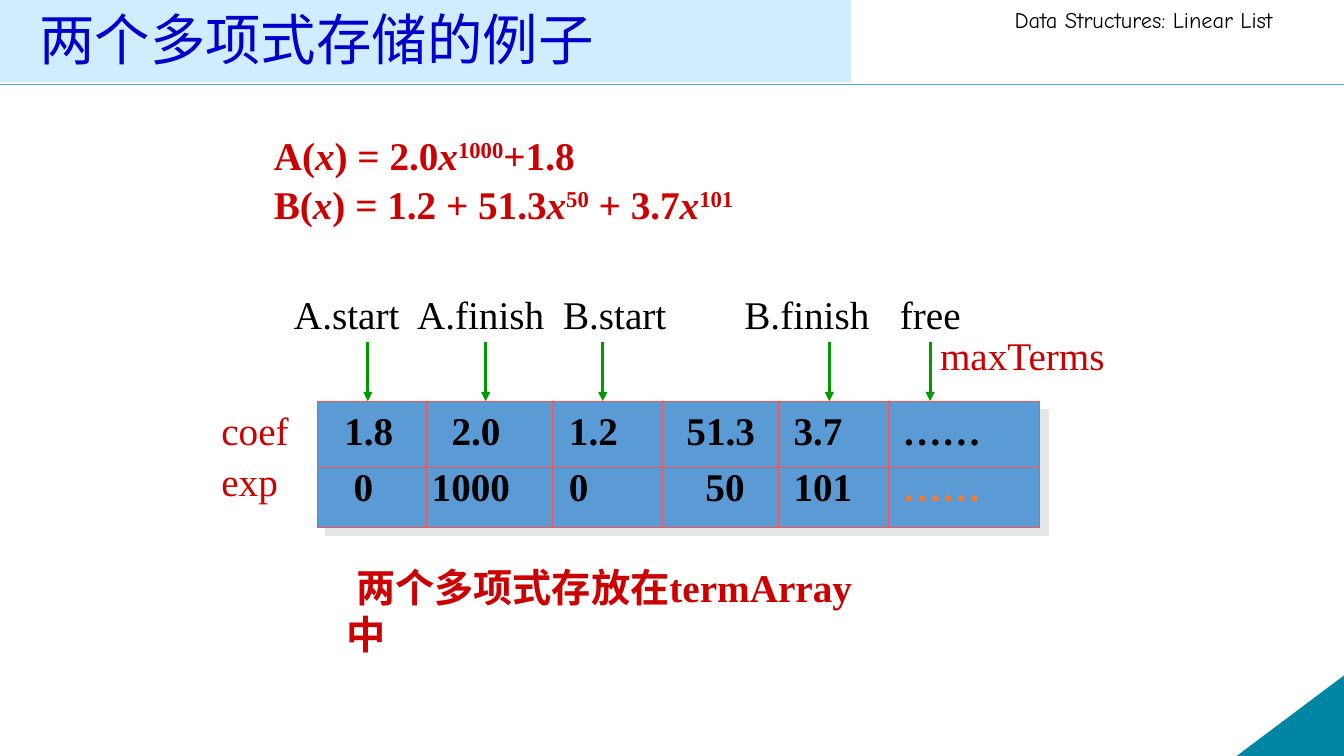
import pptx
import pptx.util
import pptx.dml.color
import pptx.enum.shapes
import pptx.enum.text
import pptx.oxml
import pptx.oxml.ns

Cm, Pt = pptx.util.Cm, pptx.util.Pt
SHAPE = pptx.enum.shapes.MSO_SHAPE
ANCHOR = pptx.enum.text.MSO_ANCHOR

COLORS = {
    "rule": "5AAAED", "corner": "0085A4", "bar": "CFEDFE", "title": "0000CC",
    "red": "CC0000", "black": "000000", "cells": "5B9BD5", "grid": "FF5050",
    "shadow": "E7E6E6", "arrow": "009900", "orange": "ED7D31",
}
TIMES = {"name": "Times New Roman", "size": Pt(28)}
BOLD = {**TIMES, "bold": True}
ITALIC = {**BOLD, "italic": True}

A = [("A(", ""), ("x", "i"), (") = 2.0", ""), ("x", "i"), ("1000", "sup"), ("+1.8", "")]
B = [("B(", ""), ("x", "i"), (") = 1.2 + 51.3", ""), ("x", "i"), ("50", "sup"),
     (" + 3.7", ""), ("x", "i"), ("101", "sup")]
POINTERS = ["A.start", "A.finish", "B.start", "B.finish", "free"]
POINTER_TABS = [3.1, 6.78, 11.35, 15.27]
COEFS = ["1.8", "2.0", "1.2", "51.3", "3.7", "……"]
COEF_TABS = [2.7, 5.66, 8.62, 11.32, 14.07]
EXPS = ["", "0", "1000", "0", "50", "101"]
EXP_TABS = [0.23, 2.2, 5.66, 9.1, 11.32, 14.07]

LEFT, TOP, RIGHT, BOTTOM, MIDDLE = 8, 10.11, 26.21, 13.29, 11.79
COLUMNS = [10.74, 13.92, 16.69, 19.63, 22.4]
ARROWS = [9.27, 12.24, 15.19, 20.9, 23.44]
ARROW_TOP = 8.61

prs = pptx.Presentation()
prs.slide_width, prs.slide_height = Cm(33.87), Cm(19.05)
s = prs.slides.add_slide(prs.slide_layouts[6])


def rgb(color):
    return pptx.dml.color.RGBColor.from_string(COLORS[color])


def sub(parent, tag, **attrs):
    el = pptx.oxml.parse_xml(f"<a:{tag} {pptx.oxml.ns.nsdecls('a')}/>")
    for key, value in attrs.items():
        el.set(key, str(value))
    parent.append(el)
    return el


def add_box(kind, box, fill, line=None):
    sp = s.shapes.add_shape(kind, *map(Cm, box))
    sp.shadow.inherit = False
    sp.fill.solid()
    sp.fill.fore_color.rgb = rgb(fill)
    if line:
        sp.line.color.rgb = rgb(line)
        sp.line.width = Pt(0.75)
    else:
        sp.line.fill.background()
    return sp


def add_line(x1, y1, x2, y2, color, width, arrow=False):
    c = s.shapes.add_connector(pptx.enum.shapes.MSO_CONNECTOR.STRAIGHT,
                               *map(Cm, (x1, y1, x2, y2)))
    c.line.color.rgb = rgb(color)
    c.line.width = Pt(width)
    if arrow:
        sub(c.line._get_or_add_ln(), "tailEnd", type="triangle")
    sub(c._element.spPr, "effectLst")


def add_text(box, paragraphs, anchor=ANCHOR.TOP):
    sp = s.shapes.add_textbox(*map(Cm, box))
    tf = sp.text_frame
    tf.word_wrap = True
    tf.vertical_anchor = anchor
    for i, (runs, layout, tabs) in enumerate(paragraphs):
        p = tf.add_paragraph() if i else tf.paragraphs[0]
        for key, value in layout.items():
            setattr(p, key, value)
        if tabs:
            tab_list = sub(p._p.get_or_add_pPr(), "tabLst")
            for tab in tabs:
                sub(tab_list, "tab", pos=int(Cm(tab)), algn="l")
        for text, font, color, raised in runs:
            r = p.add_run()
            r.text = text
            for key, value in font.items():
                setattr(r.font, key, value)
            r.font.color.rgb = rgb(color)
            if raised:
                r.font._element.set("baseline", "30000")
    return sp


def line_of(text, font=TIMES, color="black", tabs=(), **layout):
    return [(text, font, color, False)], layout, tabs


def polynomial(parts):
    runs = [(text, ITALIC if style == "i" else BOLD, "red", style == "sup")
            for text, style in parts]
    return runs, {"line_spacing": 1.05}, ()


add_line(0, 2.13, 33.87, 2.13, "rule", 1)
corner = add_box(SHAPE.RIGHT_TRIANGLE, (31.19, 17.04, 2.68, 2.01), "corner", "corner")
corner._element.spPr.xfrm.set("flipH", "1")
add_text((25.32, 0.03, 8.53, 0.94),
         [line_of("Data Structures: Linear List", {"name": "Comic Neue", "size": Pt(16)})])
add_box(SHAPE.RECTANGLE, (-0.08, -0.18, 21.54, 2.26), "bar")

formulas = add_text((6.4, 3.12, 17.35, 2.77), [polynomial(A), polynomial(B)])
formulas.text_frame.margin_left = Cm(0.5)
caption = add_text((8.48, 14.07, 13.97, 1.45),
                   [line_of("两个多项式存放在termArray中", BOLD, "red")])
caption.text_frame.paragraphs[0]._p.get_or_add_pPr().set("indent", str(int(Cm(0.25))))
add_text((7.16, 7.19, 18, 1.45), [line_of("\t".join(POINTERS), tabs=POINTER_TABS)])

cells = add_box(SHAPE.RECTANGLE, (LEFT, TOP, RIGHT - LEFT, BOTTOM - TOP), "cells", "grid")
effects = cells._element.spPr.find(pptx.oxml.ns.qn("a:effectLst"))
shadow = sub(effects, "outerShdw", dist=int(Pt(8.5)), dir=45 * 60000, algn="ctr", rotWithShape=0)
sub(shadow, "srgbClr", val=COLORS["shadow"])

add_text((5.33, TOP, 2.24, 2.77),
         [line_of(name, color="red", space_before=Pt(3.2)) for name in ("coef", "exp")])
exp_runs, exp_layout, exp_tabs = line_of("\t".join(EXPS), BOLD, tabs=EXP_TABS,
                                         space_before=Pt(6.4))
exp_runs.append(("\t……", BOLD, "orange", False))
add_text((8.43, TOP, 17.2, 2.9),
         [line_of("\t".join(COEFS), BOLD, tabs=COEF_TABS, space_before=Pt(3.2)),
          (exp_runs, exp_layout, exp_tabs)])

add_line(LEFT, MIDDLE, RIGHT, MIDDLE, "grid", 0.75)
for x in COLUMNS:
    add_line(x, TOP, x, BOTTOM, "grid", 0.75)
for x in ARROWS:
    add_line(x, ARROW_TOP, x, TOP, "arrow", 2.25, arrow=True)
add_text((23.44, 8.23, 4.72, 1.45), [line_of("maxTerms", color="red")])
add_text((0.74, 0.13, 29.21, 1.9),
         [line_of("两个多项式存储的例子", {"name": "Calibri", "size": Pt(39.6)}, "title",
                  line_spacing=0.9)], ANCHOR.MIDDLE)

prs.save("out.pptx")
